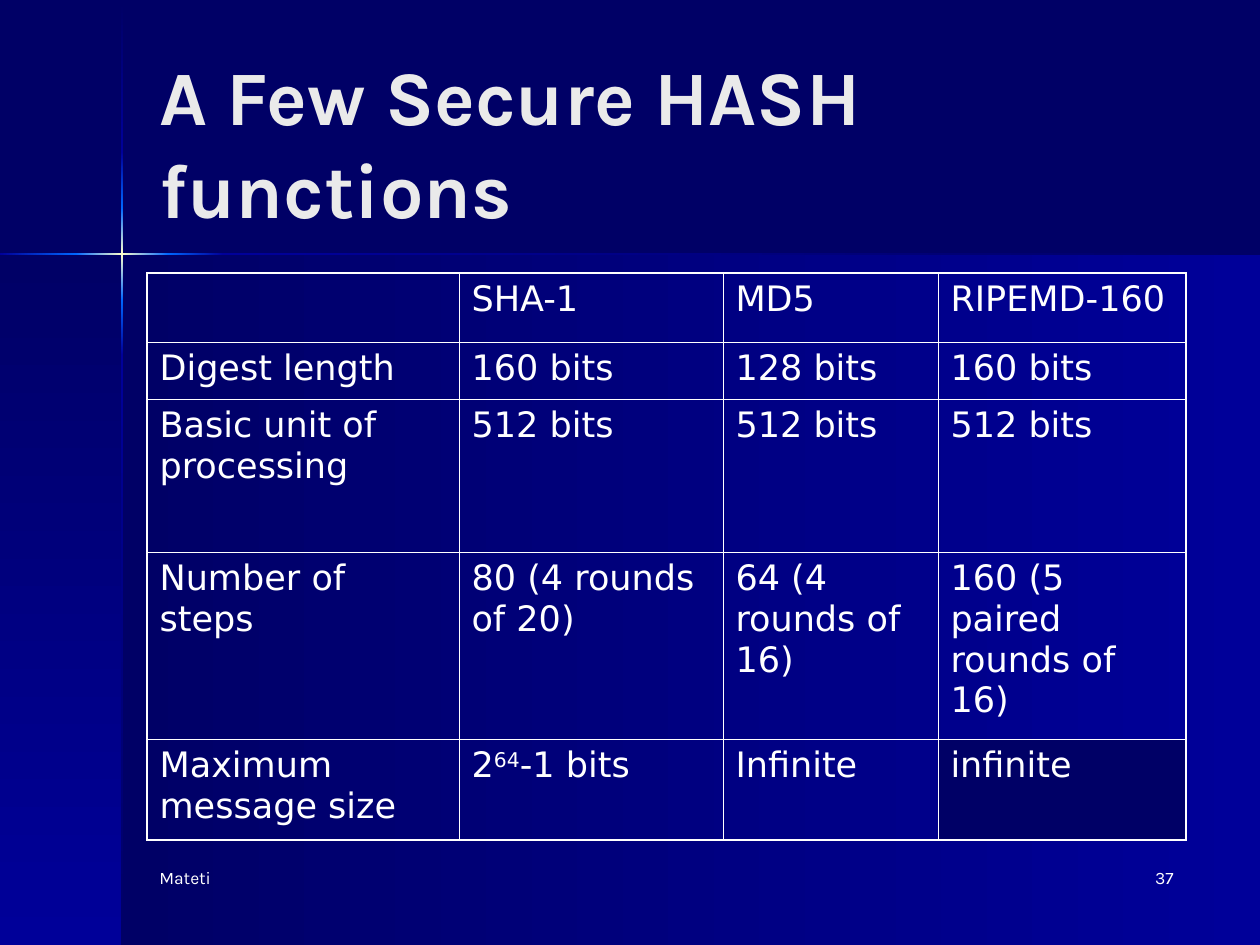
from copy import deepcopy
from itertools import accumulate

from lxml import etree
from pptx import Presentation
from pptx import util as u
from pptx.dml.color import RGBColor
from pptx.enum import shapes, text
from pptx.oxml.ns import qn

PX = 914400 / 126  # EMU in one px
WIDTH, HEIGHT = 1260, 945

NAVY = RGBColor(0x00, 0x00, 0x66)
BLUE = RGBColor(0x00, 0x00, 0x99)
BRIGHT = RGBColor(0x00, 0x66, 0xFF)
CREAM = RGBColor(0xFF, 0xFF, 0xCC)
SILVER = RGBColor(0xEA, 0xEA, 0xEA)
WHITE = RGBColor(0xFF, 0xFF, 0xFF)

TITLE = {"name": "Karla", "size": u.Pt(44), "bold": True}
FOOTER = {"name": "Karla", "size": u.Pt(10)}
BODY = {"name": "DejaVu Sans", "size": u.Pt(20)}

ROWS = [
    ["", "SHA-1", "MD5", "RIPEMD-160"],
    ["Digest length", "160 bits", "128 bits", "160 bits"],
    ["Basic unit of processing", "512 bits", "512 bits", "512 bits"],
    ["Number of steps", "80 (4 rounds of 20)", "64 (4 rounds of 16)",
     "160 (5 paired rounds of 16)"],
    ["Maximum message size", ("2", "64", "-1 bits"), "Infinite", "infinite"],
]
COLUMN_WIDTHS = [312, 264, 215, 248]
ROW_HEIGHTS = [69, 57, 153, 187, 101]
THIN, THICK = 0.45, 1.08


def emu(px):
    return u.Emu(round(px * PX))


def style(font, values, color):
    for name, value in values.items():
        setattr(font, name, value)
    font.color.rgb = color


def add_gradient(page, box, colors, angle):
    """Rectangle whose colors run evenly along the given angle."""
    shape = page.shapes.add_shape(shapes.MSO_SHAPE.RECTANGLE, *map(emu, box))
    shape.shadow.inherit = False
    shape.line.fill.background()
    shape.fill.gradient()
    shape.fill.gradient_angle = angle
    stop_list = next(shape._element.iter(qn("a:gsLst")))
    for _ in colors[2:]:
        stop_list.append(deepcopy(stop_list[-1]))
    for i, (stop, color) in enumerate(zip(shape.fill.gradient_stops, colors)):
        stop.color.rgb = color
        stop.position = i / (len(colors) - 1)


def add_background(page, box):
    """Two panels and a glowing cross of lines where they meet."""
    left, top, width, height = box
    right, bottom = left + width, top + height
    cross_x, cross_y, line = left + 122, top + 255, 2
    down, leftward = 270, 180

    add_gradient(page, (cross_x, cross_y, right - cross_x, bottom - cross_y),
                 [BLUE, NAVY], leftward)
    add_gradient(page, (left, cross_y, cross_x - left, bottom - cross_y),
                 [NAVY, BLUE], down)

    glow = [BRIGHT, CREAM, BRIGHT]
    vertical = [(1, 152, [NAVY, BLUE]), (152, 208, [BLUE, BRIGHT]),
                (208, 300, glow), (300, 355, [BRIGHT, BLUE]),
                (355, height, [BLUE, NAVY])]
    for start, end, colors in vertical:
        add_gradient(page, (cross_x - 1, top + start, line, end - start),
                     colors, down)

    horizontal = [(0, 76, [BRIGHT, BLUE]), (76, 168, glow),
                  (168, 223, [BLUE, BRIGHT]), (223, width, [NAVY, BLUE])]
    for start, end, colors in horizontal:
        add_gradient(page, (left + start, cross_y - 2, end - start, line),
                     colors, leftward)


def add_text(page, box, words, values, color,
             align=text.PP_ALIGN.LEFT, anchor=text.MSO_ANCHOR.TOP):
    frame = page.shapes.add_textbox(*map(emu, box)).text_frame
    frame.word_wrap = True
    frame.vertical_anchor = anchor
    para = frame.paragraphs[0]
    para.alignment = align
    span = para.add_run()
    span.text = words
    style(span.font, values, color)


def set_borders(cell, widths):
    """Border widths in points, in the order left, right, top, bottom."""
    props = cell._tc.get_or_add_tcPr()
    for i, (side, width) in enumerate(zip("LRTB", widths)):
        line = etree.Element(qn(f"a:ln{side}"), w=str(u.Pt(width)))
        fill = etree.SubElement(line, qn("a:solidFill"))
        etree.SubElement(fill, qn("a:srgbClr"), val=str(WHITE))
        props.insert(i, line)


def fill_cell(cell, content):
    para = cell.text_frame.paragraphs[0]
    style(para.font, BODY, WHITE)
    parts = (content,) if isinstance(content, str) else content
    for i, part in enumerate(parts):
        if part:
            span = para.add_run()
            span.text = part
            style(span.font, BODY, WHITE)
            if i == 1:  # the middle part is an exponent
                span.font._element.set("baseline", "30000")


def add_hash_table(page, box):
    table = page.shapes.add_table(len(ROWS), len(COLUMN_WIDTHS),
                                  *map(emu, box)).table
    table.first_row = table.horz_banding = False
    for column, width in zip(table.columns, COLUMN_WIDTHS):
        column.width = emu(width)
    for row, height in zip(table.rows, ROW_HEIGHTS):
        row.height = emu(height)

    last_row, last_column = len(ROWS) - 1, len(COLUMN_WIDTHS) - 1
    for r, contents in enumerate(ROWS):
        for c, content in enumerate(contents):
            cell = table.cell(r, c)
            fill_cell(cell, content)
            if (r, c) == (last_row, last_column):
                cell.fill.solid()
                cell.fill.fore_color.rgb = NAVY
            else:
                cell.fill.background()
            outer = (c == 0, c == last_column, r == 0, r == last_row)
            set_borders(cell, [THICK if edge else THIN for edge in outer])


def add_footer(page, box):
    left, top, width, height = box
    part = 262
    add_text(page, (left + width - part, top, part, height), "37",
             FOOTER, WHITE, align=text.PP_ALIGN.RIGHT)
    add_text(page, (left, top, part, height), "Mateti", FOOTER, WHITE)


def main():
    deck = Presentation()
    deck.slide_width, deck.slide_height = emu(WIDTH), emu(HEIGHT)
    page = deck.slides.add_slide(deck.slide_layouts[6])
    page.background.fill.solid()
    page.background.fill.fore_color.rgb = NAVY

    left, width = 147, sum(COLUMN_WIDTHS)
    add_background(page, (0, 0, WIDTH, HEIGHT))
    add_text(page, (left, 42, width, 198), "A Few Secure HASH functions",
             TITLE, SILVER, anchor=text.MSO_ANCHOR.MIDDLE)
    add_hash_table(page, (left, 273, width, sum(ROW_HEIGHTS)))
    add_footer(page, (left, 861, width, 63))
    deck.save("out.pptx")


if __name__ == "__main__":
    main()
